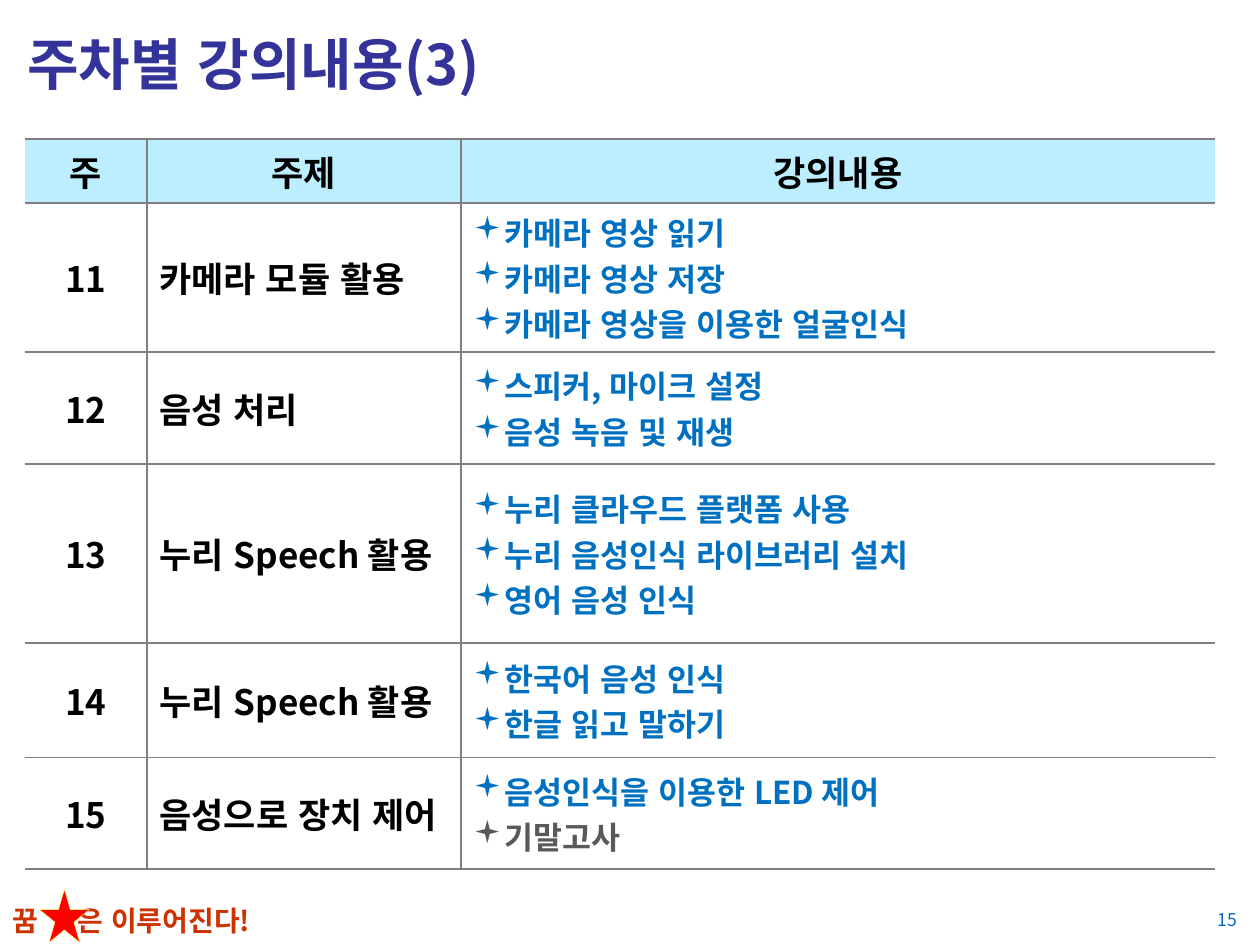
from dataclasses import dataclass

import pptx
import pptx.dml.color
import pptx.enum.lang
import pptx.enum.shapes
import pptx.enum.text
import pptx.oxml
import pptx.oxml.ns
import pptx.util
from lxml import etree

Cm = pptx.util.Cm
Align = pptx.enum.text.PP_ALIGN
Anchor = pptx.enum.text.MSO_ANCHOR
qn = pptx.oxml.ns.qn

FONT, BULLET_FONT = "Noto Sans CJK KR", "Wingdings"
BLACK, BLUE, GREY = "000000", "0070C0", "595959"
RULE, HEADER_FILL = "808080", "BDEEFF"
BULLET_INDENT = Cm(0.5)
COLUMN_WIDTHS = (2.46, 6.33, 15.2)
HEADER_HEIGHT = 1.29
HEADINGS = ("주", "주제", "강의내용")
FINAL_EXAM = "기말고사"


@dataclass(frozen=True)
class Week:
    number: int
    topic: str
    contents: tuple[str, ...]
    height: float = 2.25


@dataclass(frozen=True)
class Label:
    text: str
    left: float
    top: float
    width: float
    height: float
    size: int
    color: str
    bold: bool = True
    align: Align = Align.LEFT
    anchor: Anchor = Anchor.MIDDLE
    tab: float = 0


WEEKS = (
    Week(11, "카메라 모듈 활용",
         ("카메라 영상 읽기", "카메라 영상 저장", "카메라 영상을 이용한 얼굴인식"), 3.01),
    Week(12, "음성 처리", ("스피커, 마이크 설정", "음성 녹음 및 재생")),
    Week(13, "누리 Speech 활용",
         ("누리 클라우드 플랫폼 사용", "누리 음성인식 라이브러리 설치", "영어 음성 인식"), 3.61),
    Week(14, "누리 Speech 활용", ("한국어 음성 인식", "한글 읽고 말하기"), 2.31),
    Week(15, "음성으로 장치 제어", ("음성인식을 이용한 LED 제어", FINAL_EXAM)),
)

TITLE = Label("주차별 강의내용(3)", 0.3, 0.15, 24.8, 2.24, 32, "333399")
MOTTO = Label("꿈\t은 이루어진다!", 0, 18.08, 6.3, 0.94, 16, "CC3300",
              anchor=Anchor.TOP, tab=1.32)
PAGE_NUMBER = Label("15", 23.71, 18.14, 1.47, 0.79, 10, "0066CC",
                    bold=False, align=Align.RIGHT)


def rgb(hex_color: str) -> pptx.dml.color.RGBColor:
    return pptx.dml.color.RGBColor.from_string(hex_color)


def format_runs(paragraph, size: int, color: str, bold: bool = True) -> None:
    for run in paragraph.runs:
        run.font.size = pptx.util.Pt(size)
        run.font.bold = bold
        run.font.color.rgb = rgb(color)
        run.font.language_id = pptx.enum.lang.MSO_LANGUAGE_ID.KOREAN
        run.font.name = FONT
        # East Asian letters take their own typeface
        etree.SubElement(run.font._element, qn("a:ea"), typeface=FONT)


def add_label(slide, label: Label) -> None:
    box = slide.shapes.add_textbox(
        Cm(label.left), Cm(label.top), Cm(label.width), Cm(label.height))
    frame = box.text_frame
    frame.word_wrap = True
    frame.vertical_anchor = label.anchor
    paragraph = frame.paragraphs[0]
    paragraph.text = label.text
    paragraph.alignment = label.align
    if label.tab:
        tabs = etree.SubElement(paragraph._p.get_or_add_pPr(), qn("a:tabLst"))
        etree.SubElement(tabs, qn("a:tab"), pos=str(Cm(label.tab)), algn="l")
    format_runs(paragraph, label.size, label.color, label.bold)


def add_star(slide) -> None:
    star = slide.shapes.add_shape(
        pptx.enum.shapes.MSO_SHAPE.STAR_5_POINT,
        Cm(0.8), Cm(17.93), Cm(1), Cm(1.07))
    star.shadow.inherit = False
    star.fill.solid()
    star.fill.fore_color.rgb = rgb("FF0000")
    star.line.color.rgb = rgb("FFFF66")
    star.line.width = pptx.util.Pt(0.25)


def set_borders(cell, open_side: str) -> None:
    properties = cell._tc.get_or_add_tcPr()
    for side in "LRTB":
        line = etree.SubElement(properties, qn(f"a:ln{side}"),
                                w=str(pptx.util.Pt(1)))
        if side == open_side:
            etree.SubElement(line, qn("a:noFill"))
        else:
            fill = etree.SubElement(line, qn("a:solidFill"))
            etree.SubElement(fill, qn("a:srgbClr"), val=RULE)


def style_cell(cell, column: int, fill: str = "") -> None:
    cell.vertical_anchor = Anchor.MIDDLE
    # The table is open at its left and right edges
    set_borders(cell, ("L", "", "R")[column])
    if fill:
        cell.fill.solid()
        cell.fill.fore_color.rgb = rgb(fill)
    else:
        cell.fill.background()


def write_cell(cell, text: str, align: Align) -> None:
    paragraph = cell.text_frame.paragraphs[0]
    paragraph.text = text
    paragraph.alignment = align
    format_runs(paragraph, 20, BLACK)


def write_bullets(cell, items: tuple[str, ...]) -> None:
    frame = cell.text_frame
    frame.text = "\n".join(items)
    for paragraph, item in zip(frame.paragraphs, items):
        properties = paragraph._p.get_or_add_pPr()
        properties.set("marL", str(BULLET_INDENT))
        properties.set("indent", str(-BULLET_INDENT))
        etree.SubElement(properties, qn("a:buFont"), typeface=BULLET_FONT)
        etree.SubElement(properties, qn("a:buChar"), char="▪")
        format_runs(paragraph, 18, GREY if item == FINAL_EXAM else BLUE)


def add_schedule(slide) -> None:
    heights = (HEADER_HEIGHT, *(week.height for week in WEEKS))
    schedule = slide.shapes.add_table(
        len(heights), len(COLUMN_WIDTHS), Cm(0.5), Cm(2.8),
        Cm(sum(COLUMN_WIDTHS)), Cm(sum(heights))).table
    for column, width in zip(schedule.columns, COLUMN_WIDTHS):
        column.width = Cm(width)
    for row, height in zip(schedule.rows, heights):
        row.height = Cm(height)

    # Header row
    for column, heading in enumerate(HEADINGS):
        cell = schedule.cell(0, column)
        style_cell(cell, column, HEADER_FILL)
        write_cell(cell, heading, Align.CENTER)

    # One row per week
    for row, week in enumerate(WEEKS, start=1):
        number, topic, contents = (schedule.cell(row, c) for c in range(3))
        for column, cell in enumerate((number, topic, contents)):
            style_cell(cell, column)
        write_cell(number, str(week.number), Align.CENTER)
        write_cell(topic, week.topic, Align.LEFT)
        write_bullets(contents, week.contents)


def main() -> None:
    deck = pptx.Presentation()
    deck.slide_width, deck.slide_height = Cm(25.4), Cm(19.05)
    slide = deck.slides.add_slide(deck.slide_layouts[6])

    # Footer motto with its star
    add_label(slide, MOTTO)
    add_star(slide)

    # Title, page number and schedule
    add_label(slide, TITLE)
    add_label(slide, PAGE_NUMBER)
    add_schedule(slide)

    deck.save("out.pptx")


if __name__ == "__main__":
    main()
